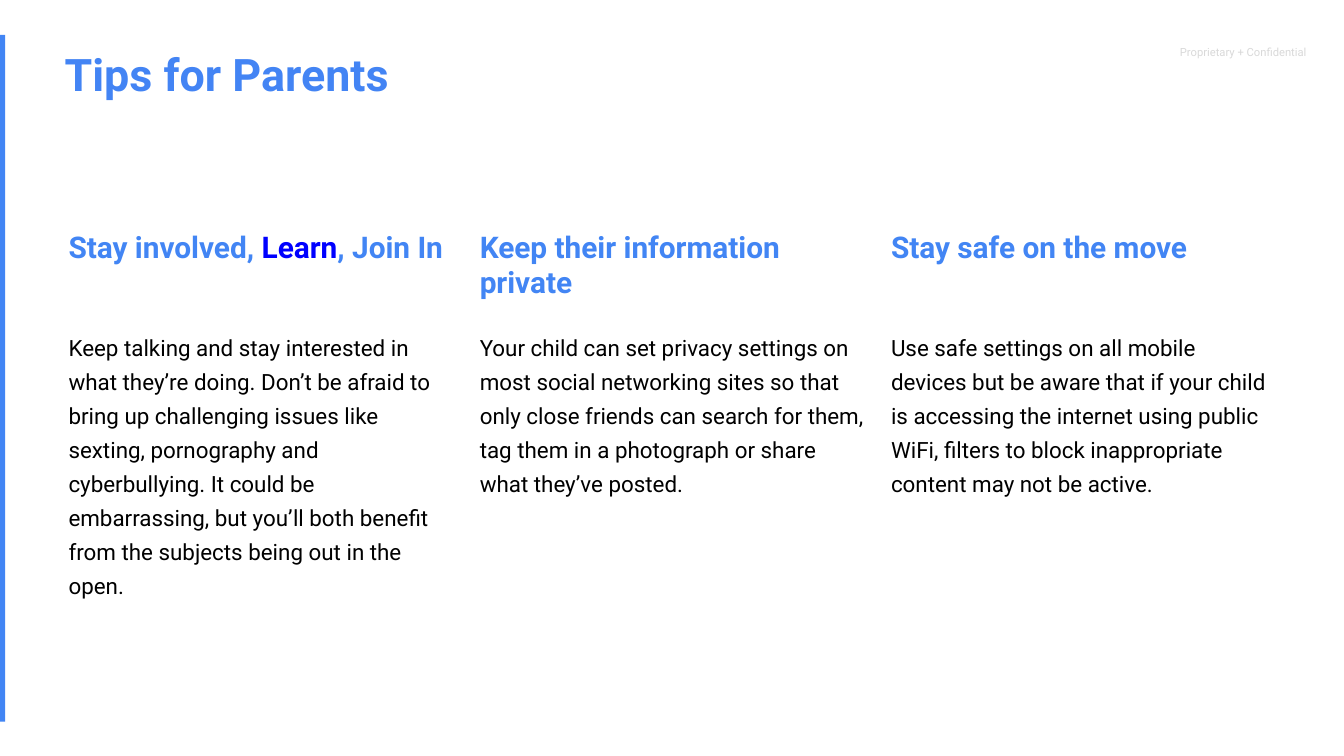
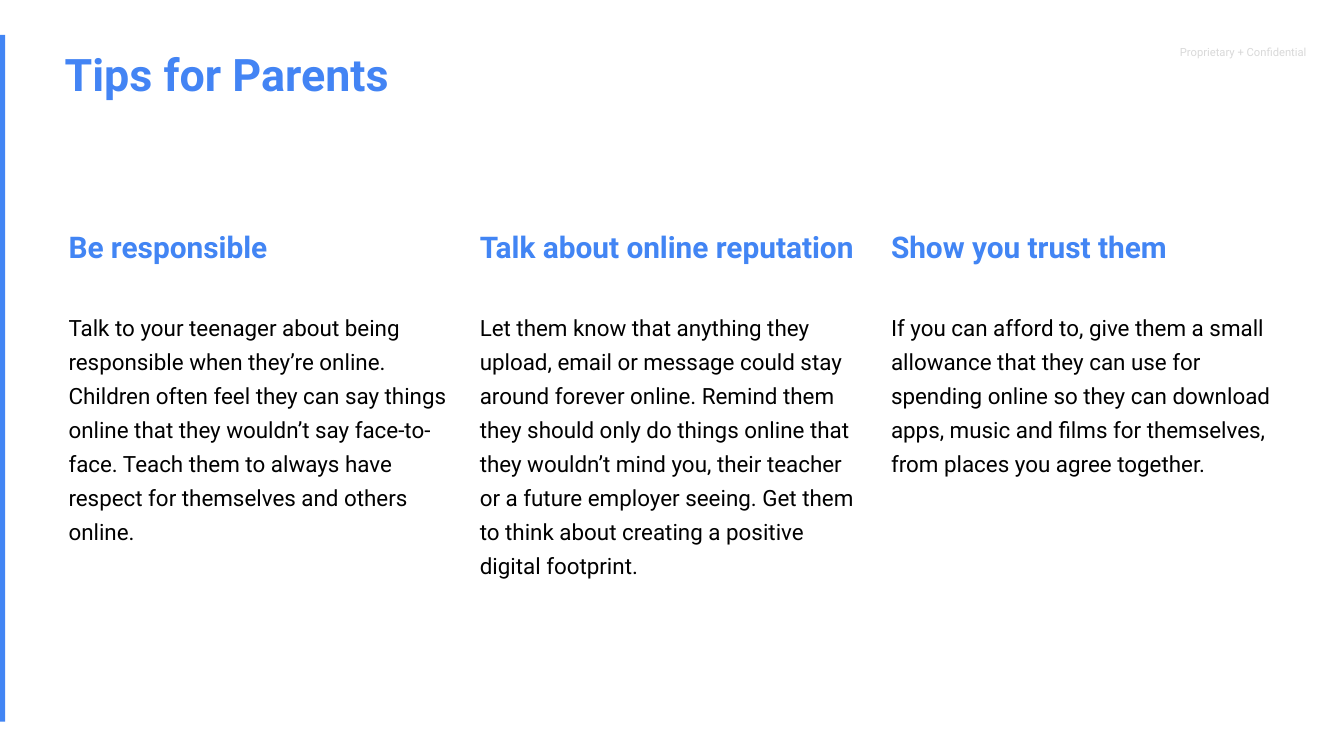
from collections import namedtuple

from pptx import Presentation
from pptx.dml.color import RGBColor
from pptx.enum.shapes import MSO_SHAPE
from pptx.enum.text import MSO_ANCHOR, MSO_AUTO_SIZE, PP_ALIGN
from pptx.util import Pt

Box = namedtuple("Box", "left top width height")

COLOURS = {
    "title": "4384F4",
    "accent": "4285F4",
    "highlight": "0000FF",
    "body": "000000",
    "muted": "D9D9D9",
}
FONT = "Roboto"
INSET = 7.2
PAGE = Box(0, 0, 720, 405)
TITLE = Box(27.4, 20.9, 614.2, 32.4)
TABLE = Box(29.5, 116.6, 661, 181.4)

TIPS = [
    {
        "row_heights": (48.2, 133.2),
        "columns": [
            (
                [("Stay involved, ", "accent"), ("Learn", "highlight"), (", Join In", "accent")],
                "Keep talking and stay interested in what they’re doing. Don’t be afraid to "
                "bring up challenging issues like sexting, pornography and cyberbullying. "
                "It could be embarrassing, but you’ll both benefit from the subjects being "
                "out in the open.",
            ),
            (
                "Keep their information private",
                "Your child can set privacy settings on most social networking sites so that "
                "only close friends can search for them, tag them in a photograph or share "
                "what they’ve posted.",
            ),
            (
                "Stay safe on the move",
                "Use safe settings on all mobile devices but be aware that if your child is "
                "accessing the internet using public WiFi, filters to block inappropriate "
                "content may not be active.",
            ),
        ],
    },
    {
        "row_heights": (41, 30.2),
        "columns": [
            (
                "Be responsible",
                "Talk to your teenager about being responsible when they’re online. Children "
                "often feel they can say things online that they wouldn’t say face-to-face. "
                "Teach them to always have respect for themselves and others online.",
            ),
            (
                "Talk about online reputation",
                "Let them know that anything they upload, email or message could stay around "
                "forever online. Remind them they should only do things online that they "
                "wouldn’t mind you, their teacher or a future employer seeing. Get them to "
                "think about creating a positive digital footprint.",
            ),
            (
                "Show you trust them",
                "If you can afford to, give them a small allowance that they can use for "
                "spending online so they can download apps, music and films for themselves, "
                "from places you agree together.",
            ),
        ],
    },
]


def write_text(frame, text, size, colour, bold=False, spacing=1.0):
    frame.word_wrap = True
    para = frame.paragraphs[0]
    para.alignment = PP_ALIGN.LEFT
    para.line_spacing = spacing
    spans = [(text, colour)] if isinstance(text, str) else text
    for words, shade in spans:
        span = para.add_run()
        span.text = words
        span.font.name = FONT
        span.font.size = Pt(size)
        span.font.bold = bold
        span.font.color.rgb = RGBColor.from_string(COLOURS[shade])


def set_insets(frame):
    frame.margin_left = frame.margin_right = Pt(INSET)
    frame.margin_top = frame.margin_bottom = Pt(INSET)
    frame.vertical_anchor = MSO_ANCHOR.TOP
    frame.auto_size = MSO_AUTO_SIZE.NONE


def add_frame(page, box):
    notice = page.shapes.add_textbox(
        Pt(box.left + box.width - 95), Pt(box.top + 17.3), Pt(95), Pt(23.8))
    set_insets(notice.text_frame)
    write_text(notice.text_frame, "Proprietary + Confidential", size=6, colour="muted")

    bar = page.shapes.add_shape(
        MSO_SHAPE.RECTANGLE, Pt(box.left - 1.5), Pt(box.top + 18.7), Pt(4.3), Pt(367.9))
    bar.shadow.inherit = False
    bar.fill.solid()
    bar.fill.fore_color.rgb = RGBColor.from_string(COLOURS["accent"])
    bar.line.fill.background()


def add_title(page, box, text):
    title = page.shapes.title
    title.left, title.top, title.width, title.height = map(Pt, box)
    set_insets(title.text_frame)
    write_text(title.text_frame, text, size=24, colour="title", bold=True, spacing=0.9)


def add_tips(page, box, columns, row_heights):
    table = page.shapes.add_table(2, len(columns), *map(Pt, box)).table
    table.first_row = False
    table.horz_banding = False
    for row, height in zip(table.rows, row_heights):
        row.height = Pt(height)
    for index, (heading, advice) in enumerate(columns):
        table.columns[index].width = Pt(box.width / len(columns))
        heading_cell, advice_cell = table.cell(0, index), table.cell(1, index)
        for cell in (heading_cell, advice_cell):
            cell.fill.background()
            cell.margin_left = cell.margin_right = Pt(INSET)
            cell.margin_top = cell.margin_bottom = Pt(INSET)
        write_text(heading_cell.text_frame, heading, size=16, colour="accent", bold=True)
        write_text(advice_cell.text_frame, advice, size=12, colour="body", spacing=1.3)


def main():
    deck = Presentation()
    deck.slide_width, deck.slide_height = Pt(PAGE.width), Pt(PAGE.height)
    for tips in TIPS:
        page = deck.slides.add_slide(deck.slide_layouts[5])
        add_frame(page, PAGE)
        add_tips(page, TABLE, **tips)
        add_title(page, TITLE, "Tips for Parents")
    deck.save("out.pptx")


if __name__ == "__main__":
    main()
